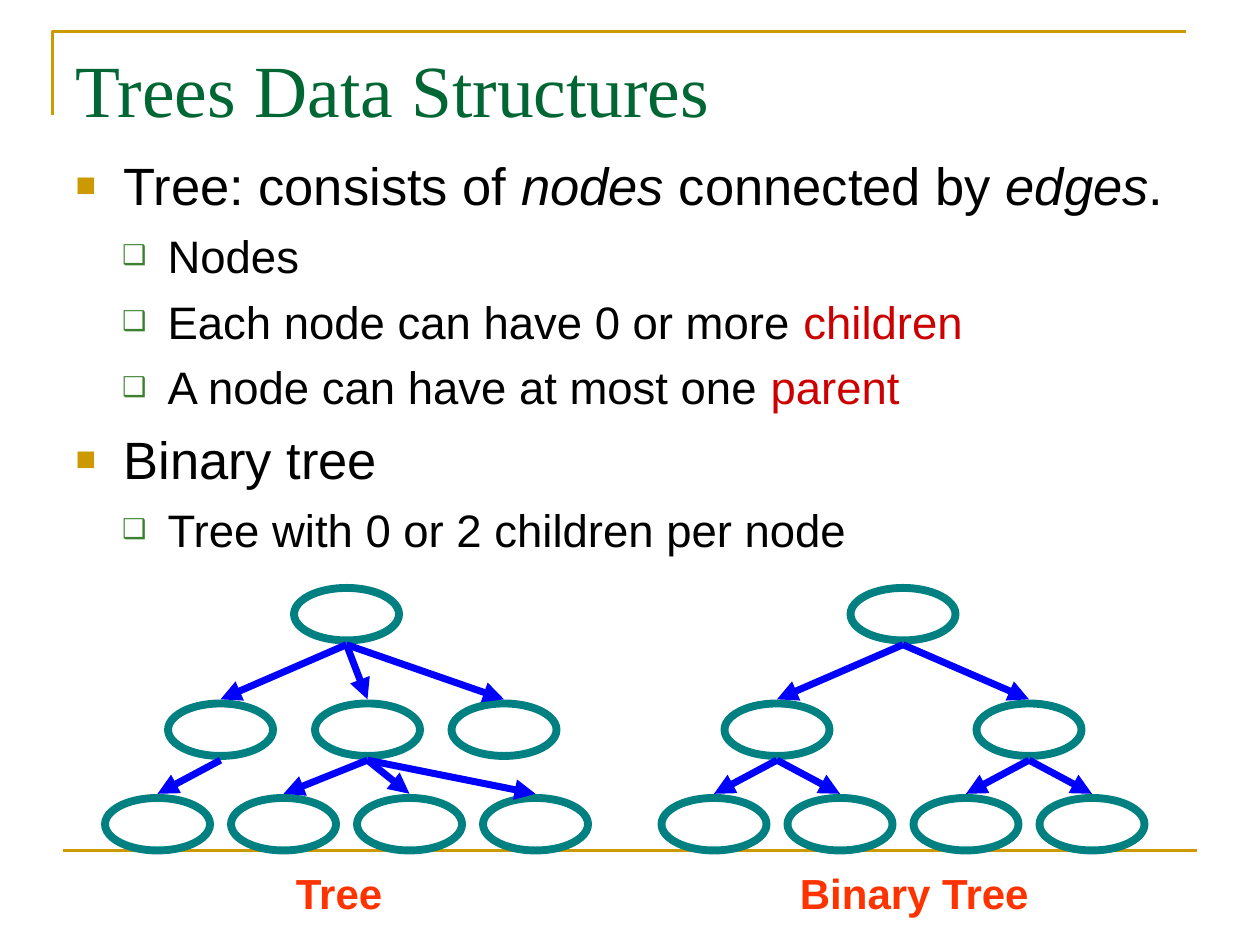
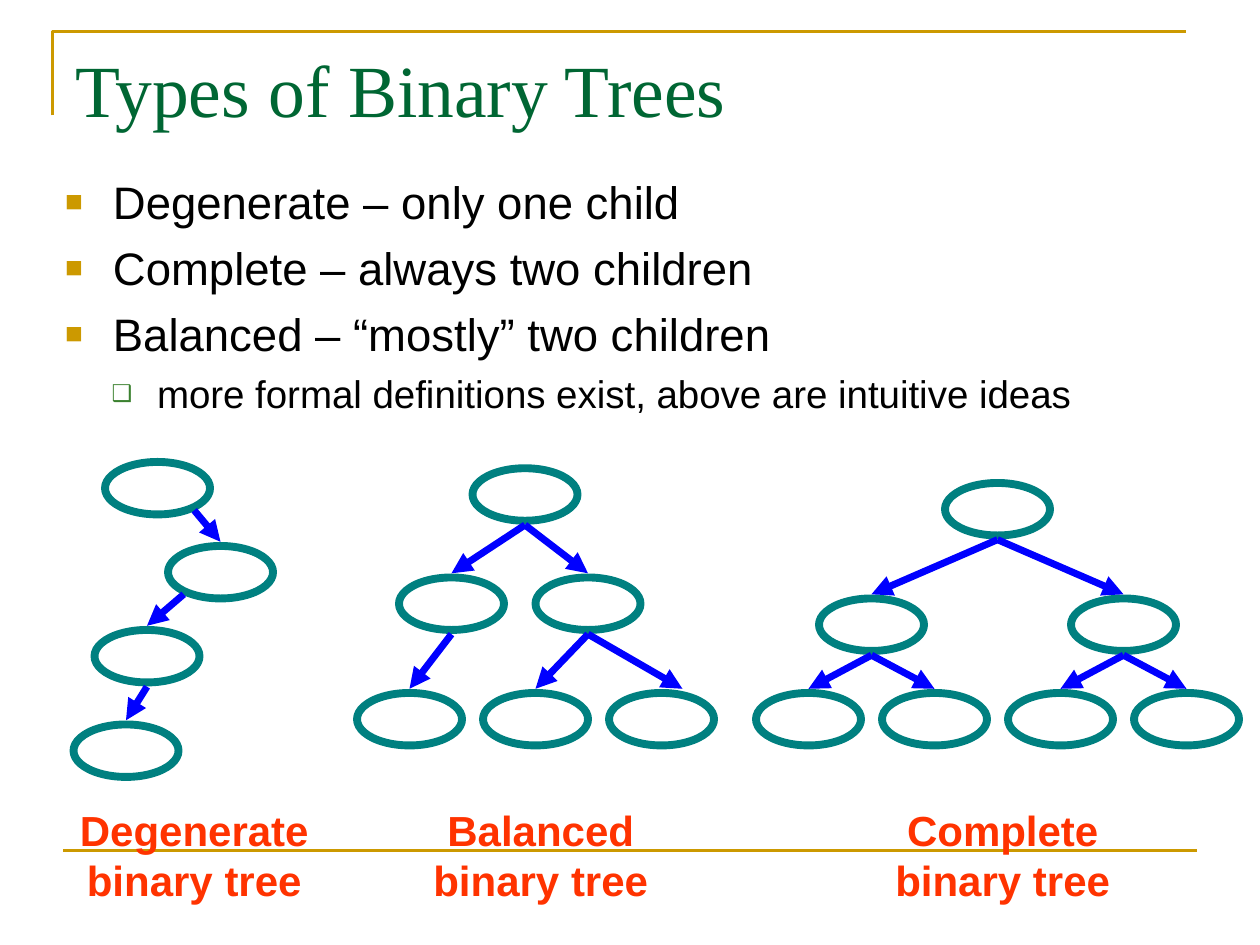
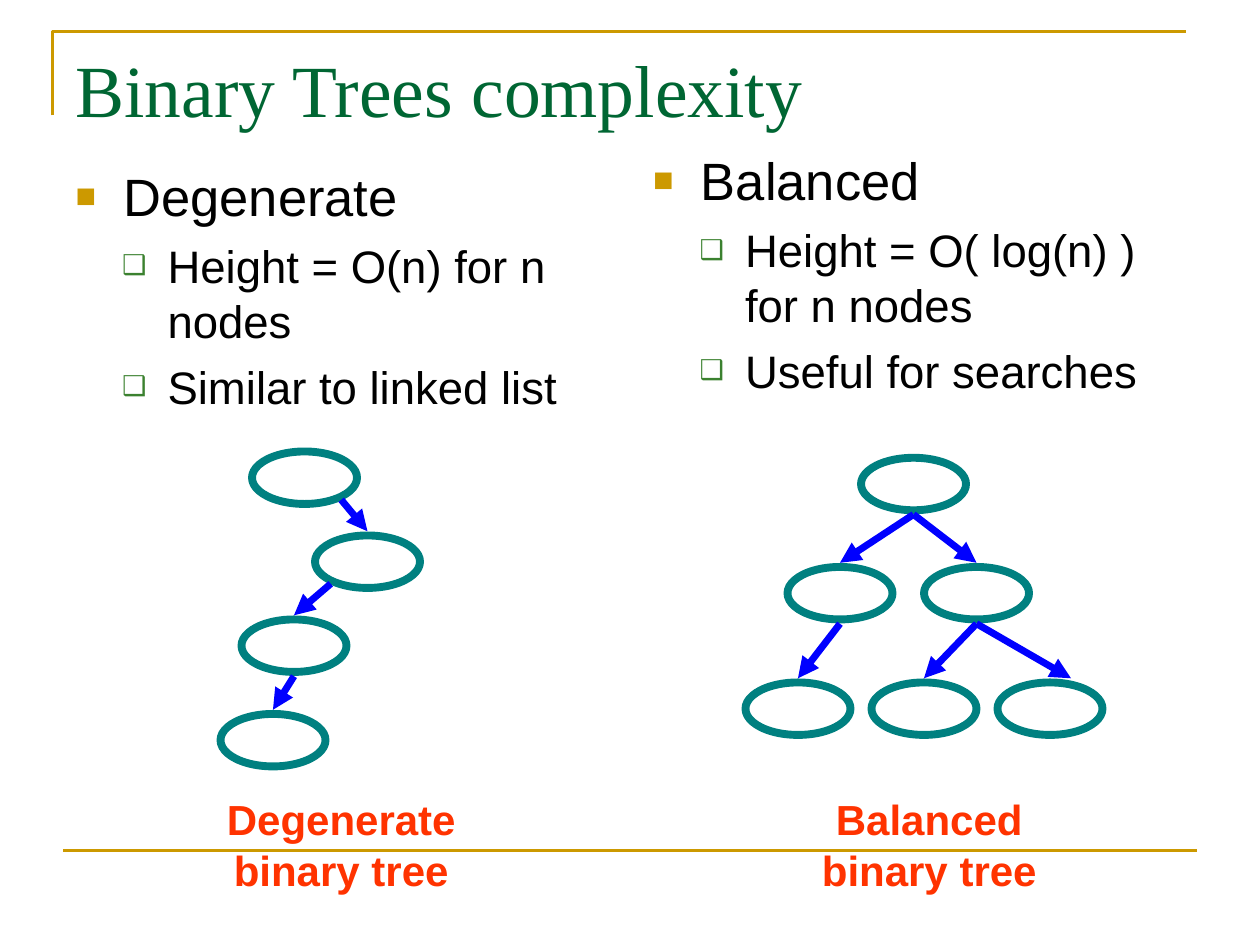
from lxml import etree
from pptx import Presentation
from pptx import util as u
from pptx.dml.color import RGBColor
from pptx.enum import shapes, text
from pptx.oxml.ns import qn

GOLD = RGBColor(0xCC, 0x99, 0x00)
TITLE_GREEN = RGBColor(0x00, 0x66, 0x33)
BULLET_GREEN = RGBColor(0x3B, 0x81, 0x2F)
TEAL = RGBColor(0x00, 0x80, 0x80)
BLUE = RGBColor(0x00, 0x00, 0xFF)
ORANGE = RGBColor(0xFF, 0x33, 0x00)
RED = RGBColor(0xCC, 0x00, 0x00)
BLACK = RGBColor(0x00, 0x00, 0x00)

# The slide is a grid of 120 columns by 90 rows
SLIDE_W, SLIDE_H = u.Inches(10), u.Inches(7.5)
CELL = SLIDE_W // 120
NODE_W, NODE_H = 10, 5
EDGE_GAP = 0.4
SIDE_EXIT = (3.5, 0.8)  # shift sideways and up for an edge leaving at a side

# Level: bullet, colour, size in percent, left margin, hanging indent
BULLETS = [("■", GOLD, 65, 0.38, -0.38), ("❑", BULLET_GREEN, 60, 0.73, -0.36)]

# Trees: node corners in cells; edges as parent, child, exit side, entry shift
GENERAL = (
    [(18, 0), (6, 11), (20, 11), (33, 11)] + [(12 * i, 20) for i in range(4)],
    [(0, 1), (0, 2), (0, 3), (1, 4), (2, 5), (2, 6), (2, 7)],
)
COMPLETE = (
    [(18, 0), (6, 11), (30, 11)] + [(12 * i, 20) for i in range(4)],
    [(0, 1), (0, 2), (1, 3), (1, 4), (2, 5), (2, 6)],
)
BALANCED = (
    [(11, 0), (4, 10.4), (17, 10.4)] + [(12 * i, 21.4) for i in range(3)],
    [(0, 1), (0, 2), (1, 3), (2, 4), (2, 5, 0, 2)],
)
DEGENERATE = (
    [(3, 0), (9, 8), (2, 16), (0, 25)],
    [(0, 1, 1), (1, 2, -1), (2, 3)],
)


def cells(*lengths):
    return [round(length * CELL) for length in lengths]


def add_run(paragraph, words, size, color, font="Arial", bold=False, italic=False):
    run = paragraph.add_run()
    run.text = words
    run.font.name, run.font.size = font, u.Pt(size)
    run.font.bold, run.font.italic = bold, italic
    run.font.color.rgb = color


def add_line(slide, start, end, color, width, arrow=False):
    line = slide.shapes.add_connector(
        shapes.MSO_CONNECTOR.STRAIGHT, *cells(*start, *end))
    line.line.color.rgb, line.line.width = color, u.Pt(width)
    if arrow:
        etree.SubElement(line.line._get_or_add_ln(), qn("a:tailEnd"), type="triangle")
    etree.SubElement(line.element.spPr, qn("a:effectLst"))
    return line


def move_frame_to_master(prs, slide):
    """Draw the corner and the footer line once and share them through the master."""
    builder = slide.shapes.build_freeform(*cells(5, 11))
    builder.add_line_segments([cells(5, 3), cells(113, 3)], close=False)
    corner = builder.convert_to_shape()
    corner.shadow.inherit = False
    corner.fill.background()
    corner.line.color.rgb, corner.line.width = GOLD, u.Pt(1.5)
    footer = add_line(slide, (6, 81), (114, 81), GOLD, 1.5)
    for part in (corner, footer):
        prs.slide_master.shapes.element.append(part.element)


def place(holder, box):
    holder.left, holder.top, holder.width, holder.height = cells(*box)
    frame = holder.text_frame
    frame.word_wrap = True
    frame.auto_size = text.MSO_AUTO_SIZE.NONE
    frame.vertical_anchor = text.MSO_ANCHOR.TOP
    return frame


def add_titled_slide(prs, layout, title):
    slide = prs.slides.add_slide(prs.slide_layouts[layout])
    heading = place(slide.shapes.title, (6, 3.6, 108, 15)).paragraphs[0]
    heading.alignment = text.PP_ALIGN.LEFT
    add_run(heading, title, 42, TITLE_GREEN, "Times New Roman")
    return slide


def fill_list(holder, box, items, sizes=(30, 26)):
    """Items are (level, run, ...); a run is a string or (string, font options)."""
    frame = place(holder, box)
    for i, (level, *runs) in enumerate(items):
        item = frame.add_paragraph() if i else frame.paragraphs[0]
        item.level = level
        item.space_before = u.Pt(sizes[level] / 4)
        mark, color, percent, margin, indent = BULLETS[level]
        props = item._p.get_or_add_pPr()
        props.set("marL", str(u.Inches(margin)))
        props.set("indent", str(u.Inches(indent)))
        bullet_color = etree.SubElement(props, qn("a:buClr"))
        etree.SubElement(bullet_color, qn("a:srgbClr"), val=str(color))
        etree.SubElement(props, qn("a:buSzPct"), val=str(percent * 1000))
        etree.SubElement(props, qn("a:buFont"), typeface="Arial")
        etree.SubElement(props, qn("a:buChar"), char=mark)
        for run in runs:
            words, options = (run, {}) if isinstance(run, str) else run
            add_run(item, words, sizes[level], **{"color": BLACK, **options})


def add_tree(slide, left, top, tree):
    nodes, edges = tree
    for x, y in nodes:
        node = slide.shapes.add_shape(
            shapes.MSO_SHAPE.OVAL, *cells(left + x, top + y, NODE_W, NODE_H))
        node.shadow.inherit = False
        node.fill.background()
        node.line.color.rgb, node.line.width = TEAL, u.Pt(4.5)
    for parent, child, *shifts in edges:
        side, entry = (shifts + [0, 0])[:2]
        (px, py), (cx, cy) = nodes[parent], nodes[child]
        start = (left + px + NODE_W / 2 + side * SIDE_EXIT[0],
                 top + py + NODE_H + EDGE_GAP - abs(side) * SIDE_EXIT[1])
        end = (left + cx + NODE_W / 2 + entry, top + cy - EDGE_GAP)
        add_line(slide, start, end, BLUE, 4, arrow=True)


def add_caption(slide, left, top, words, width=25, height=10.8, wrap=True):
    box = slide.shapes.add_textbox(*cells(left, top, width, height))
    box.text_frame.word_wrap = wrap
    box.text_frame.auto_size = text.MSO_AUTO_SIZE.SHAPE_TO_FIT_TEXT
    caption = box.text_frame.paragraphs[0]
    caption.alignment = text.PP_ALIGN.CENTER if wrap else text.PP_ALIGN.LEFT
    add_run(caption, words, 24, ORANGE, bold=True)


def build_structures(prs):
    slide = add_titled_slide(prs, 1, "Trees Data Structures")
    move_frame_to_master(prs, slide)
    italic, red = {"italic": True}, {"color": RED}
    fill_list(slide.placeholders[1], (6, 14, 108, 67), [
        (0, "Tree: consists of ", ("nodes ", italic), "connected by ",
         ("edges", italic), "."),
        (1, "Nodes"),
        (1, "Each node can have 0 or more ", ("children", red)),
        (1, "A node can have at most one ", ("parent", red)),
        (0, "Binary tree"),
        (1, "Tree with 0 or 2 children per node"),
    ])
    add_tree(slide, 63, 56, COMPLETE)
    add_tree(slide, 10, 56, GENERAL)
    add_caption(slide, 27, 82, "Tree", 10.8, 6, wrap=False)
    add_caption(slide, 75, 82, "Binary Tree", 24.4, 6, wrap=False)


def build_types(prs):
    slide = add_titled_slide(prs, 1, "Types of Binary Trees")
    fill_list(slide.placeholders[1], (5, 16, 110, 59.4), [
        (0, "Degenerate – only one child"),
        (0, "Complete – always two children"),
        (0, "Balanced – “mostly” two children"),
        (1, "more formal definitions exist, above are intuitive ideas"),
    ], sizes=(26, 22))
    add_tree(slide, 7, 44, DEGENERATE)
    add_tree(slide, 34, 44.6, BALANCED)
    add_tree(slide, 72, 46, COMPLETE)
    for left, kind in ((6, "Degenerate"), (39, "Balanced"), (83, "Complete")):
        add_caption(slide, left, 76, f"{kind} binary tree")


def build_complexity(prs):
    slide = add_titled_slide(prs, 3, "Binary Trees complexity")
    fill_list(slide.placeholders[1], (6, 15, 52.5, 59.4), [
        (0, "Degenerate"),
        (1, "Height = O(n) for n nodes"),
        (1, "Similar to linked list"),
    ])
    fill_list(slide.placeholders[2], (61, 13.5, 50.2, 59.5), [
        (0, "Balanced"),
        (1, "Height = O( log(n) ) for n nodes"),
        (1, "Useful for searches"),
    ])
    add_tree(slide, 21, 43, DEGENERATE)
    add_tree(slide, 71, 43.6, BALANCED)
    for left, kind in ((20, "Degenerate"), (76, "Balanced")):
        add_caption(slide, left, 75, f"{kind} binary tree")


def main():
    prs = Presentation()
    prs.slide_width, prs.slide_height = SLIDE_W, SLIDE_H
    build_structures(prs)
    build_types(prs)
    build_complexity(prs)
    prs.save("out.pptx")


if __name__ == "__main__":
    main()
